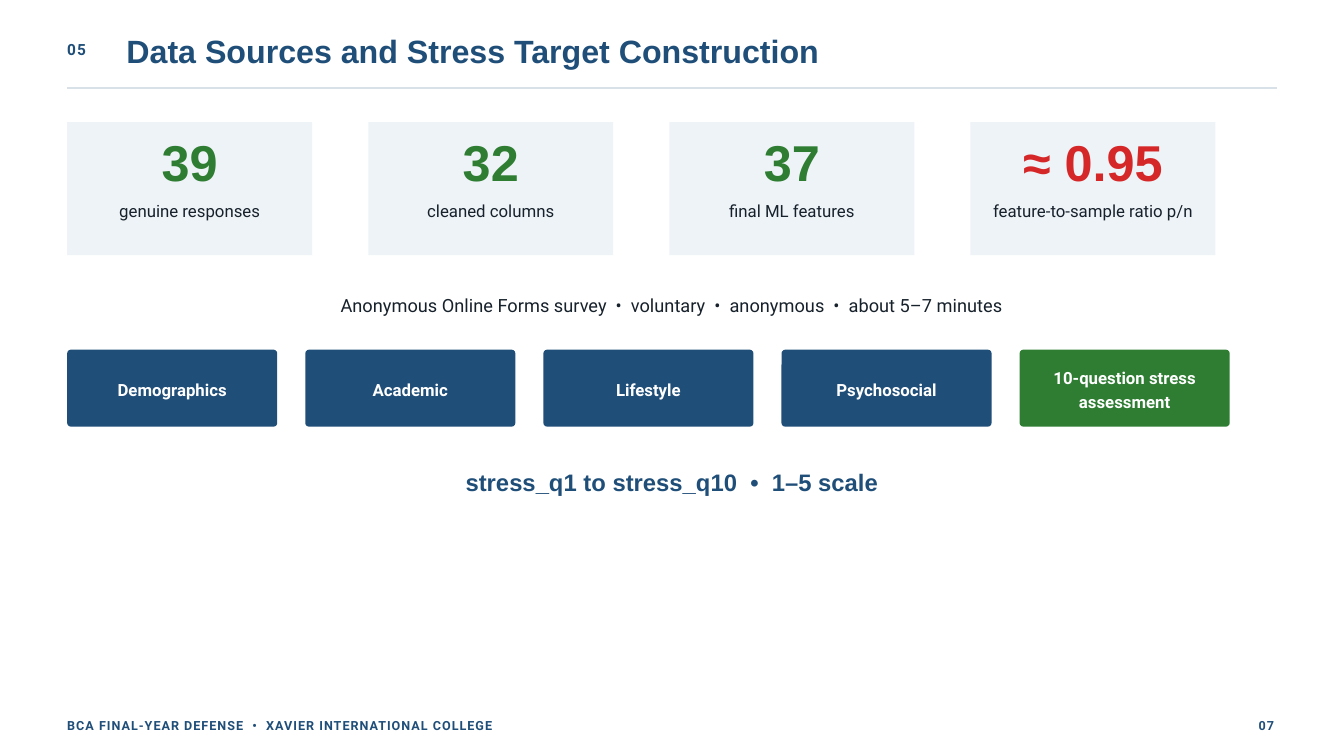
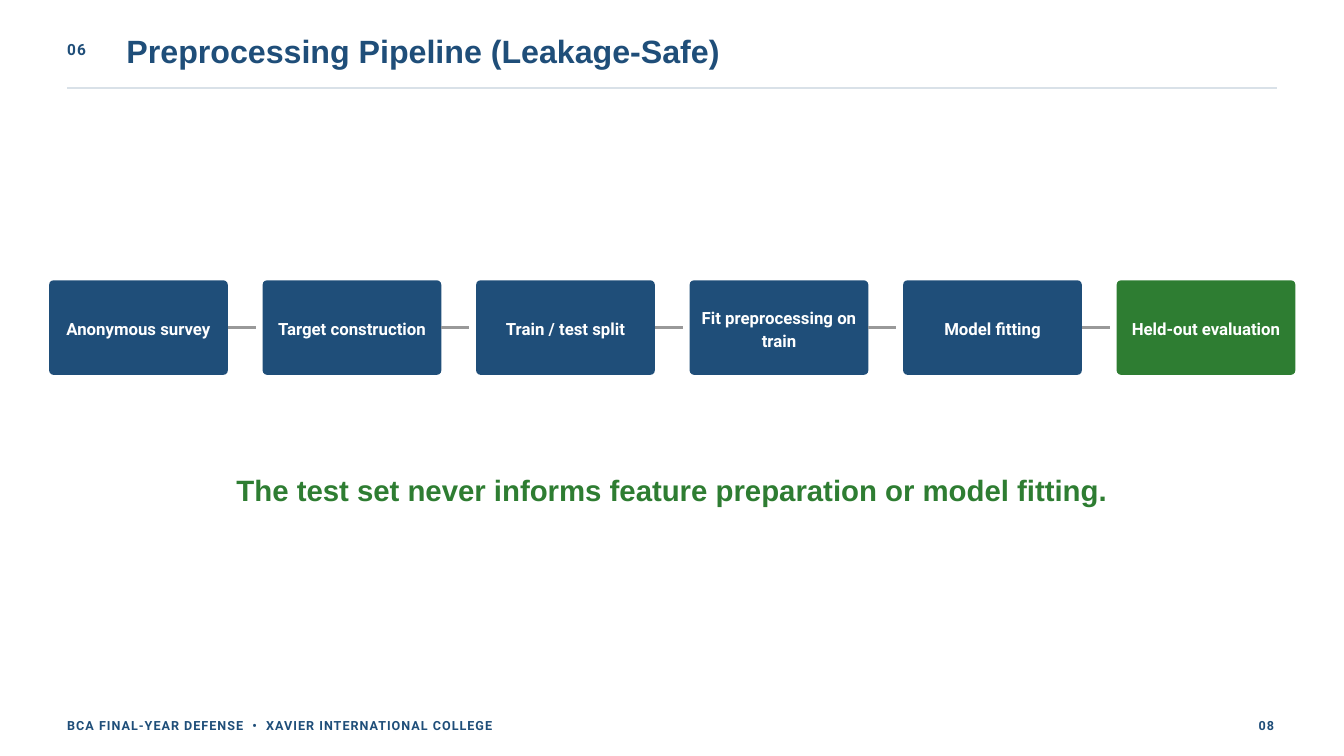
from dataclasses import dataclass

from lxml import etree
from pptx import Presentation
from pptx.dml.color import RGBColor
from pptx.enum import shapes, text
from pptx.oxml import ns
from pptx.util import Cm, Pt

# Content
FOOTER = "BCA FINAL-YEAR DEFENSE  •  XAVIER INTERNATIONAL COLLEGE"
SOURCES = {
    "section": "05",
    "title": "Data Sources and Stress Target Construction",
    "page": "07",
    "stats": [
        ("39", "genuine responses", "green"),
        ("32", "cleaned columns", "green"),
        ("37", "final ML features", "green"),
        ("≈ 0.95", "feature-to-sample ratio p/n", "red"),
    ],
    "survey": "Anonymous Online Forms survey  •  voluntary  •  anonymous  •  about 5–7 minutes",
    "categories": ["Demographics", "Academic", "Lifestyle", "Psychosocial",
                   "10-question stress assessment"],
    "scale": "stress_q1 to stress_q10  •  1–5 scale",
}
PIPELINE = {
    "section": "06",
    "title": "Preprocessing Pipeline (Leakage-Safe)",
    "page": "08",
    "steps": ["Anonymous survey", "Target construction", "Train / test split",
              "Fit preprocessing on train", "Model fitting", "Held-out evaluation"],
    "takeaway": "The test set never informs feature preparation or model fitting.",
}


# Theme
@dataclass(frozen=True)
class Style:
    size: float
    leading: float
    font: str
    color: str
    bold: bool = True
    tracking: float = 0


class Theme:
    colors = {"navy": "1F4E79", "green": "2E7D32", "red": "D62728", "ink": "17212B",
              "white": "FFFFFF", "card": "EEF3F7", "rule": "D9E1E8", "link": "999999"}
    section = Style(16.5, 23.1, "Roboto", "navy", tracking=1.3)
    title = Style(34.5, 36.2, "Arial", "navy")
    number = Style(54, 56.7, "Arial", "green")
    label = Style(18, 24.3, "Roboto", "ink", bold=False)
    note = Style(19.5, 26.3, "Roboto", "ink", bold=False)
    box = Style(18, 25.2, "Roboto", "white")
    scale = Style(25.5, 26.8, "Arial", "navy")
    takeaway = Style(31.5, 33.1, "Arial", "green")
    footer = Style(13.5, 18.9, "Roboto", "navy", tracking=1.1)


MARGIN, CONTENT_WIDTH = 2.54, 45.72
LEFT, CENTER, RIGHT = text.PP_ALIGN.LEFT, text.PP_ALIGN.CENTER, text.PP_ALIGN.RIGHT
TOP, MIDDLE = text.MSO_ANCHOR.TOP, text.MSO_ANCHOR.MIDDLE


def rgb(name):
    return RGBColor.from_string(Theme.colors[name])


# Text and shape helpers
def set_frame(frame, inset=0, anchor=TOP):
    frame.word_wrap = True
    frame.auto_size = text.MSO_AUTO_SIZE.NONE
    frame.vertical_anchor = anchor
    frame.margin_left = frame.margin_right = Cm(inset)
    frame.margin_top = frame.margin_bottom = Cm(inset)


def write(paragraph, words, style, align=LEFT, color=None):
    run = paragraph.add_run()
    run.text = words
    if style.tracking:
        run._r.get_or_add_rPr().set("spc", str(round(style.tracking * 100)))
    paragraph.alignment = align
    paragraph.line_spacing = Pt(style.leading)
    font = paragraph.font
    font.name, font.size, font.bold = style.font, Pt(style.size), style.bold
    font.color.rgb = rgb(color or style.color)


def add_text(slide, words, style, left, top, width, height, align=LEFT):
    frame = slide.shapes.add_textbox(Cm(left), Cm(top), Cm(width), Cm(height)).text_frame
    set_frame(frame)
    write(frame.paragraphs[0], words, style, align)


def add_block(slide, kind, color, left, top, width, height):
    block = slide.shapes.add_shape(kind, Cm(left), Cm(top), Cm(width), Cm(height))
    block.shadow.inherit = False
    block.fill.solid()
    block.fill.fore_color.rgb = rgb(color)
    block.line.fill.background()
    return block


def add_line(slide, start, end, y, color, weight):
    line = slide.shapes.add_connector(shapes.MSO_CONNECTOR.STRAIGHT,
                                      Cm(start), Cm(y), Cm(end), Cm(y))
    line.line.color.rgb = rgb(color)
    line.line.width = Pt(weight)
    etree.SubElement(line._element.spPr, ns.qn("a:effectLst"))
    return line


def add_box_row(slide, labels, left, top, width, height, pitch, radius):
    """Rounded navy boxes at an equal pitch; the last one is green."""
    boxes = []
    for i, label in enumerate(labels):
        color = "green" if i == len(labels) - 1 else "navy"
        box = add_block(slide, shapes.MSO_SHAPE.ROUNDED_RECTANGLE, color,
                        left + i * pitch, top, width, height)
        box.adjustments[0] = radius / height
        set_frame(box.text_frame, 0.15, MIDDLE)
        write(box.text_frame.paragraphs[0], label, Theme.box, CENTER)
        boxes.append(box)
    return boxes


# Shared header and footer
def start_slide(deck, content):
    slide = deck.slides.add_slide(deck.slide_layouts[5])
    add_text(slide, content["section"], Theme.section, MARGIN, 1.4, 2.1, 0.76)
    title = slide.shapes.title
    title.left, title.top, title.width, title.height = Cm(4.78), Cm(1.37), Cm(39.67), Cm(1.4)
    set_frame(title.text_frame)
    write(title.text_frame.paragraphs[0], content["title"], Theme.title)
    add_line(slide, MARGIN, MARGIN + CONTENT_WIDTH, 3.33, "rule", 2)
    add_text(slide, FOOTER, Theme.footer, MARGIN, 27.05, 38.35, 0.64)
    add_text(slide, content["page"], Theme.footer, 45.77, 27.05, 2.39, 0.64, RIGHT)
    return slide


# Slide: data sources
def build_sources(deck):
    slide = start_slide(deck, SOURCES)
    for i, (number, label, color) in enumerate(SOURCES["stats"]):
        card = add_block(slide, shapes.MSO_SHAPE.RECTANGLE, "card",
                         MARGIN + i * 11.38, 4.62, 9.26, 5.03)
        frame = card.text_frame
        set_frame(frame)
        frame.margin_top = Cm(0.64)
        write(frame.paragraphs[0], number, Theme.number, CENTER, color)
        caption = frame.add_paragraph()
        write(caption, label, Theme.label, CENTER)
        caption.space_before = Pt(6.7)
    add_text(slide, SOURCES["survey"], Theme.note, MARGIN, 11.02, CONTENT_WIDTH, 0.91, CENTER)
    add_box_row(slide, SOURCES["categories"], MARGIN, 13.22, 7.94, 2.91, 9, 0.14)
    add_text(slide, SOURCES["scale"], Theme.scale, MARGIN, 17.81, CONTENT_WIDTH, 0.99, CENTER)


# Slide: preprocessing pipeline
def build_pipeline(deck):
    left, top, width, height, pitch = 1.86, 10.6, 6.75, 3.57, 8.07
    slide = start_slide(deck, PIPELINE)
    steps = add_box_row(slide, PIPELINE["steps"], left, top, width, height, pitch, 0.16)
    for i, step in enumerate(steps[:-1]):
        start = left + i * pitch + width
        link = add_line(slide, start, start + 1.06, top + height / 2, "link", 3)
        link.begin_connect(step, 3)
    add_text(slide, PIPELINE["takeaway"], Theme.takeaway, 8.46, 18.03, 33.87, 1.27, CENTER)


def main():
    deck = Presentation()
    deck.slide_width, deck.slide_height = Cm(50.8), Cm(28.58)
    build_sources(deck)
    build_pipeline(deck)
    deck.save("out.pptx")


if __name__ == "__main__":
    main()
